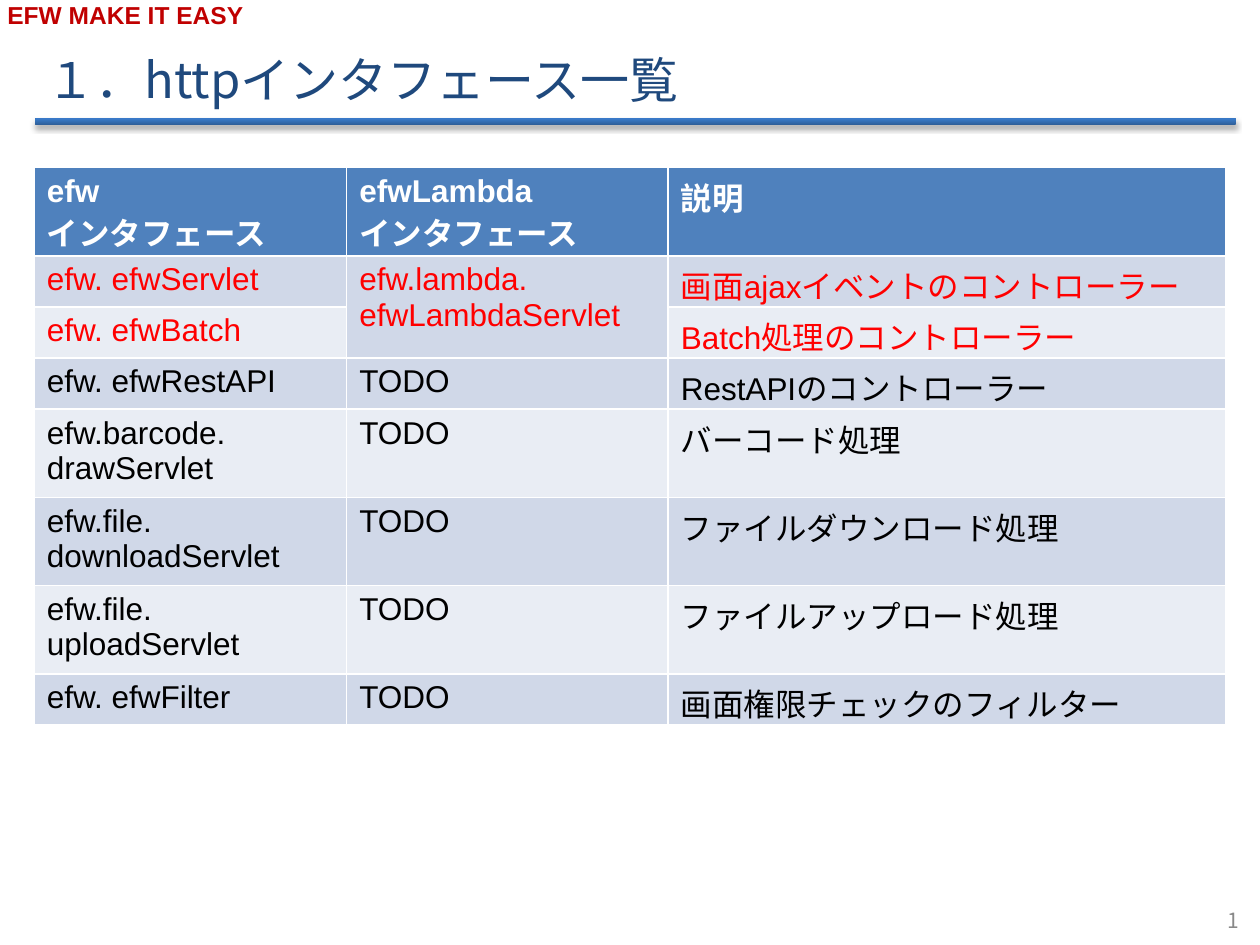
from pptx import Presentation
from pptx.dml.color import RGBColor
from pptx.enum.shapes import MSO_SHAPE
from pptx.enum.text import MSO_ANCHOR, MSO_AUTO_SIZE, PP_ALIGN
from pptx.oxml import parse_xml
from pptx.oxml.ns import nsdecls
from pptx.util import Cm, Pt

LATIN, JAPANESE = "Arial", "Noto Sans CJK JP"
RED, BLACK, WHITE = "FF0000", "000000", "FFFFFF"
HEADER_FILL, BANDS = "4F81BD", ("D0D8E8", "E9EDF4")
COLUMN_WIDTHS = (6.3, 6.48, 11.23)
HEADINGS = ("efw\nインタフェース", "efwLambda\nインタフェース", "説明")
INTERFACES = [
    ("efw. efwServlet", "efw.lambda. efwLambdaServlet", "画面ajaxイベントのコントローラー"),
    ("efw. efwBatch", "", "Batch処理のコントローラー"),
    ("efw. efwRestAPI", "TODO", "RestAPIのコントローラー"),
    ("efw.barcode. drawServlet", "TODO", "バーコード処理"),
    ("efw.file.\ndownloadServlet", "TODO", "ファイルダウンロード処理"),
    ("efw.file. uploadServlet", "TODO", "ファイルアップロード処理"),
    ("efw. efwFilter", "TODO", "画面権限チェックのフィルター"),
]
AVAILABLE_ROWS = 2


def rgb(code):
    """Turn a hex string into a colour."""
    return RGBColor.from_string(code)


def style_text(frame, size, color, name=LATIN, bold=False):
    """Set the font of every paragraph in a text frame."""
    for paragraph in frame.paragraphs:
        font = paragraph.font
        font.name, font.size, font.bold = name, Pt(size), bold
        font.color.rgb = rgb(color)


def add_label(slide, left, top, width, height, text=""):
    """Add a wrapping text box and return its text frame."""
    frame = slide.shapes.add_textbox(Cm(left), Cm(top), Cm(width), Cm(height)).text_frame
    frame.word_wrap = True
    frame.text = text
    return frame


def add_title_rule(slide):
    """Draw the shaded bar under the title."""
    rule = slide.shapes.add_shape(
        MSO_SHAPE.ROUNDED_RECTANGLE, Cm(0.71), Cm(2.39), Cm(24.2), Cm(0.13))
    rule.line.fill.background()
    rule.fill.gradient()
    rule.fill.gradient_angle = 90
    for stop, (position, color) in zip(
            rule.fill.gradient_stops, ((0, "2F5F99"), (1, "3A7CCB"))):
        stop.position = position
        stop.color.rgb = rgb(color)
    rule._element.spPr.append(parse_xml(
        f'<a:effectLst {nsdecls("a")}><a:outerShdw blurRad="39370" dist="22860" '
        'dir="5400000" rotWithShape="0"><a:srgbClr val="000000">'
        '<a:alpha val="35000"/></a:srgbClr></a:outerShdw></a:effectLst>'))


def add_title(slide, text):
    """Place and format the title placeholder."""
    title = slide.shapes.title
    title.left, title.top, title.width, title.height = Cm(0.69), Cm(0.76), Cm(22.86), Cm(1.55)
    frame = title.text_frame
    frame.text = text
    frame.auto_size = MSO_AUTO_SIZE.NONE
    frame.vertical_anchor = MSO_ANCHOR.MIDDLE
    heading = frame.paragraphs[0]
    heading.alignment = PP_ALIGN.LEFT
    heading.line_spacing, heading.space_before = 1.1, Pt(7)
    style_text(frame, 28, "1F497D", JAPANESE)


def add_page_number(slide):
    """Add the slide number field at the lower right."""
    frame = add_label(slide, 19.3, 18.03, 5.92, 1.02)
    frame.vertical_anchor = MSO_ANCHOR.MIDDLE
    number = frame.paragraphs[0]
    number.alignment = PP_ALIGN.RIGHT
    style_text(frame, 12, "898989", JAPANESE)
    number._p.append(parse_xml(
        f'<a:fld {nsdecls("a")} id="{{B6F15528-21DE-4FAA-801E-634DDDAF4B2B}}" '
        'type="slidenum"><a:rPr lang="ja-JP"/><a:t>1</a:t></a:fld>'))


def fill_row(row, texts, fill, color, bold=False):
    """Write one table row with its fill and font."""
    row.height = Cm(1.03)
    for cell, text in zip(row.cells, texts):
        cell.fill.solid()
        cell.fill.fore_color.rgb = rgb(fill)
        if not cell.is_spanned:
            cell.text = text
            style_text(cell.text_frame, 18, color, bold=bold)


def add_interface_table(slide):
    """Add the table of interfaces."""
    holder = slide.shapes.add_table(
        len(INTERFACES) + 1, len(HEADINGS), Cm(0.69), Cm(3.38), Cm(24.01), Cm(11.23))
    table = holder.table
    for column, width in zip(table.columns, COLUMN_WIDTHS):
        column.width = Cm(width)
    table.cell(1, 1).merge(table.cell(AVAILABLE_ROWS, 1))
    fill_row(table.rows[0], HEADINGS, HEADER_FILL, WHITE, bold=True)
    for index, texts in enumerate(INTERFACES):
        color = RED if index < AVAILABLE_ROWS else BLACK
        fill_row(table.rows[index + 1], texts, BANDS[index % 2], color)
    holder.height = Cm(11.23)


def main():
    """Build the slide and save it."""
    deck = Presentation()
    deck.slide_width, deck.slide_height = Cm(25.4), Cm(19.05)
    slide = deck.slides.add_slide(deck.slide_layouts[5])
    add_title_rule(slide)
    slogan = add_label(slide, -0.1, -0.13, 8.99, 0.86, "EFW MAKE IT EASY")
    style_text(slogan, 14, "C00000", bold=True)
    add_page_number(slide)
    add_title(slide, "１．httpインタフェース一覧")
    add_interface_table(slide)
    deck.save("out.pptx")


main()
